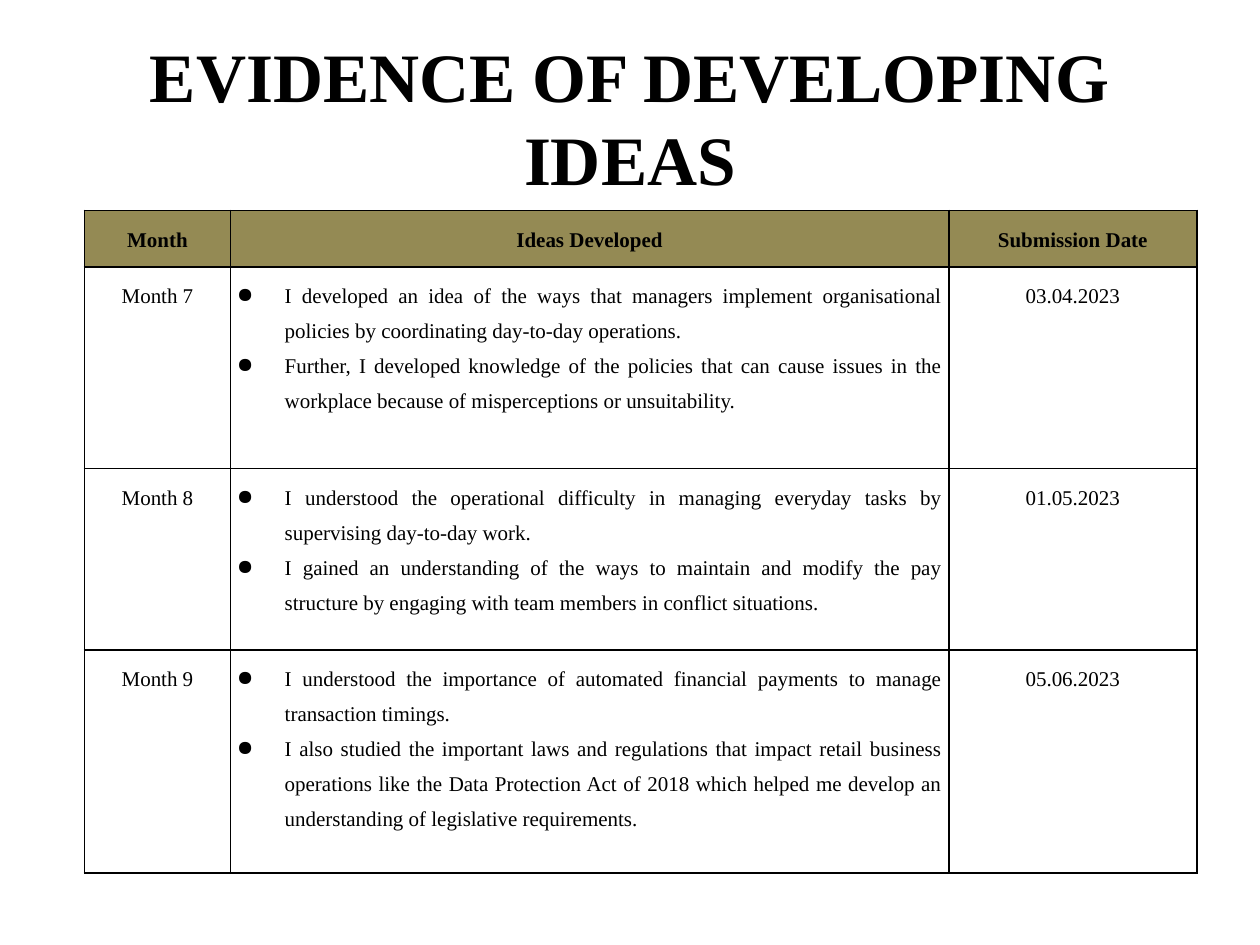
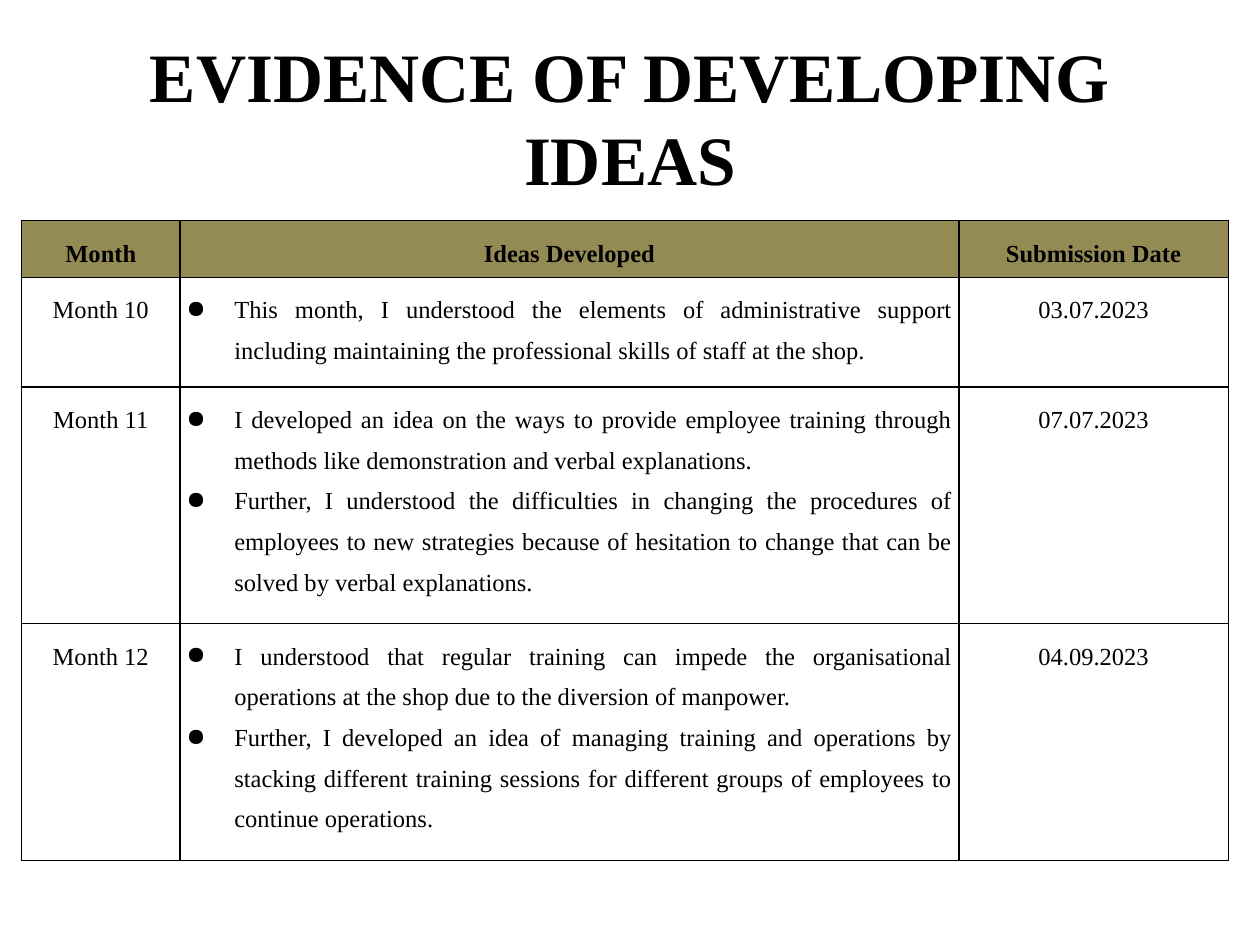
from lxml import etree
from pptx import Presentation
from pptx import util as u
from pptx.dml.color import RGBColor
from pptx.enum import text
from pptx.oxml import ns

BLACK = RGBColor(0x00, 0x00, 0x00)
OLIVE = RGBColor(0x94, 0x8A, 0x54)
FONT = "Times New Roman"
TITLE = "EVIDENCE OF DEVELOPING IDEAS"
HEADINGS = ("Month", "Ideas Developed", "Submission Date")
CELL_INSET = u.Inches(0.05)
BULLET_INDENT = u.Inches(0.38)

# Each row: month, ideas, submission date
THIRD_QUARTER = [
    ("Month 7", [
        "I developed an idea of the ways that managers implement organisational "
        "policies by coordinating day-to-day operations.",
        "Further, I developed knowledge of the policies that can cause issues in "
        "the workplace because of misperceptions or unsuitability.",
    ], "03.04.2023"),
    ("Month 8", [
        "I understood the operational difficulty in managing everyday tasks by "
        "supervising day-to-day work.",
        "I gained an understanding of the ways to maintain and modify the pay "
        "structure by engaging with team members in conflict situations.",
    ], "01.05.2023"),
    ("Month 9", [
        "I understood the importance of automated financial payments to manage "
        "transaction timings.",
        "I also studied the important laws and regulations that impact retail "
        "business operations like the Data Protection Act of 2018 which helped me "
        "develop an understanding of legislative requirements.",
    ], "05.06.2023"),
]
FOURTH_QUARTER = [
    ("Month 10", [
        "This month, I understood the elements of administrative support including "
        "maintaining the professional skills of staff at the shop.",
    ], "03.07.2023"),
    ("Month 11", [
        "I developed an idea on the ways to provide employee training through "
        "methods like demonstration and verbal explanations.",
        "Further, I understood the difficulties in changing the procedures of "
        "employees to new strategies because of hesitation to change that can be "
        "solved by verbal explanations.",
    ], "07.07.2023"),
    ("Month 12", [
        "I understood that regular training can impede the organisational "
        "operations at the shop due to the diversion of manpower.",
        "Further, I developed an idea of managing training and operations by "
        "stacking different training sessions for different groups of employees to "
        "continue operations.",
    ], "04.09.2023"),
]


class IdeasDeck:
    """Holds the shared style and the current slide."""

    def __init__(self):
        self.deck = Presentation()
        self.deck.slide_width = u.Inches(10)
        self.deck.slide_height = u.Inches(7.5)
        self.page = None

    def add_page(self):
        self.page = self.deck.slides.add_slide(self.deck.slide_layouts[6])
        self.add_title()

    def style_text(self, para, size, bold=False):
        for span in para.runs:
            span.font.name = FONT
            span.font.size = u.Pt(size)
            span.font.bold = bold
            span.font.color.rgb = BLACK

    def add_title(self):
        box = self.page.shapes.add_textbox(
            u.Inches(0.5), u.Inches(0.3), u.Inches(9), u.Inches(1.25))
        frame = box.text_frame
        frame.word_wrap = True
        frame.vertical_anchor = text.MSO_ANCHOR.MIDDLE
        frame.text = TITLE
        para = frame.paragraphs[0]
        para.alignment = text.PP_ALIGN.CENTER
        self.style_text(para, 39.6, bold=True)

    def add_bullet(self, para):
        props = para._p.get_or_add_pPr()
        props.set("marL", str(BULLET_INDENT))
        props.set("indent", str(-BULLET_INDENT))
        etree.SubElement(props, ns.qn("a:buChar")).set("char", "●")

    def add_borders(self, cell):
        props = cell._tc.get_or_add_tcPr()
        for side in ("lnL", "lnR", "lnT", "lnB"):
            line = etree.SubElement(props, ns.qn(f"a:{side}"), w=str(u.Pt(1)))
            fill = etree.SubElement(line, ns.qn("a:solidFill"))
            etree.SubElement(fill, ns.qn("a:srgbClr"), val=str(BLACK))

    def fill_cell(self, cell, lines, size, header=False, bulleted=False):
        cell.margin_left = cell.margin_right = CELL_INSET
        cell.margin_top = cell.margin_bottom = CELL_INSET
        self.add_borders(cell)
        if header:
            cell.fill.solid()
            cell.fill.fore_color.rgb = OLIVE
        else:
            cell.fill.background()
        cell.text_frame.text = "\n".join(lines)
        for para in cell.text_frame.paragraphs:
            if bulleted:
                self.add_bullet(para)
            para.alignment = (text.PP_ALIGN.JUSTIFY if bulleted
                              else text.PP_ALIGN.CENTER)
            para.line_spacing = 1.5
            self.style_text(para, size, bold=header)

    def add_ideas_table(self, left, top, widths, heights, size, entries):
        table = self.page.shapes.add_table(
            len(heights), len(widths), u.Inches(left), u.Inches(top),
            u.Inches(sum(widths)), u.Inches(sum(heights))).table
        table.first_row = table.horz_banding = False
        for column, width in zip(table.columns, widths):
            column.width = u.Inches(width)
        for row, height in zip(table.rows, heights):
            row.height = u.Inches(height)

        # Header row
        for col, heading in enumerate(HEADINGS):
            self.fill_cell(table.cell(0, col), [heading], size, header=True)

        # One row per month
        for row, (month, ideas, date) in enumerate(entries, start=1):
            self.fill_cell(table.cell(row, 0), [month], size)
            self.fill_cell(table.cell(row, 1), ideas, size, bulleted=True)
            self.fill_cell(table.cell(row, 2), [date], size)


def main():
    ideas = IdeasDeck()

    # Months 7 to 9
    ideas.add_page()
    ideas.add_ideas_table(0.67, 1.67, (1.16, 5.7, 1.97),
                          (0.45, 1.6, 1.44, 1.77), 12, THIRD_QUARTER)

    # Months 10 to 12
    ideas.add_page()
    ideas.add_ideas_table(0.17, 1.75, (1.26, 6.18, 2.14),
                          (0.45, 0.87, 1.88, 1.88), 14, FOURTH_QUARTER)

    ideas.deck.save("out.pptx")


if __name__ == "__main__":
    main()
